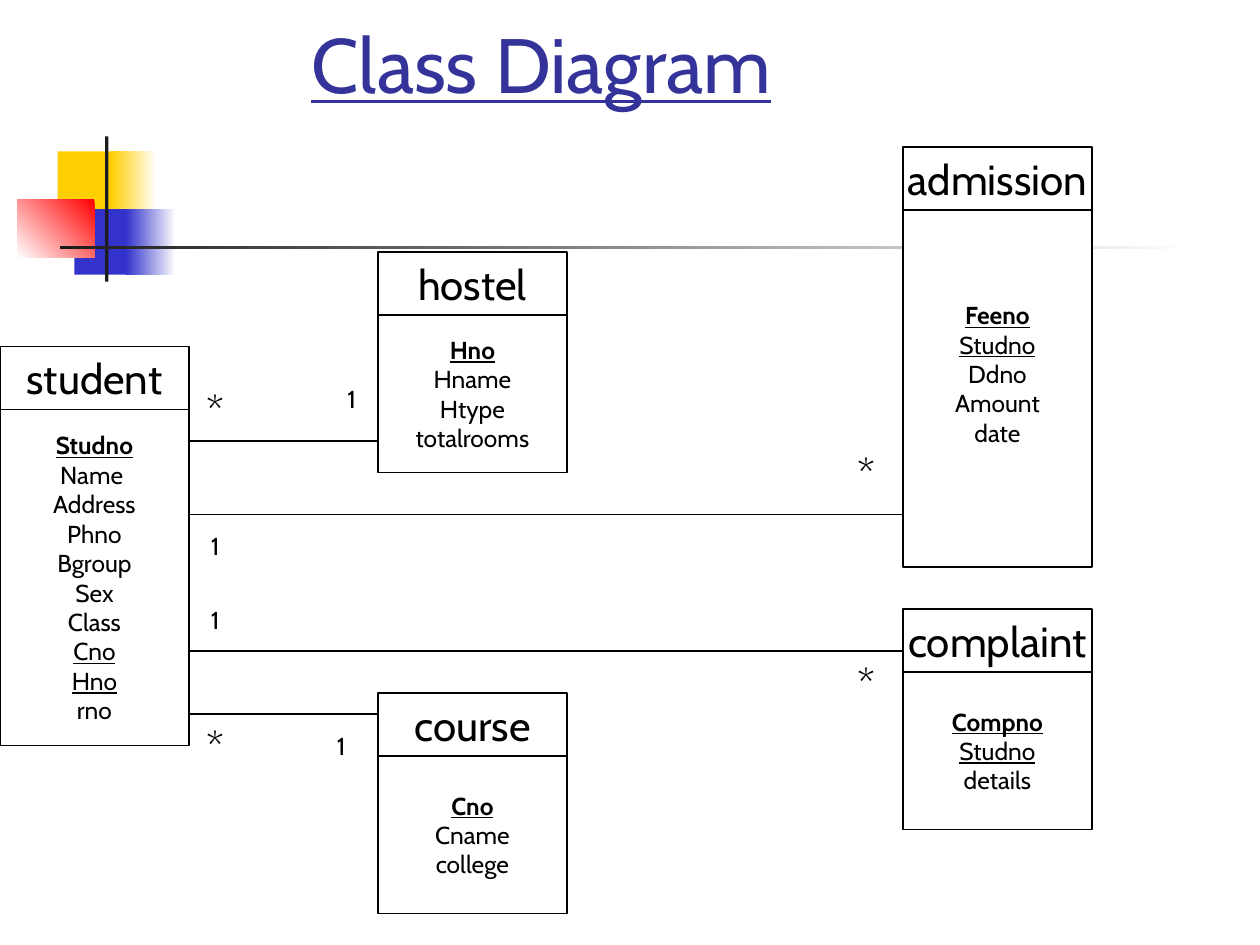
import lxml.etree
import pptx
import pptx.dml.color
import pptx.enum.shapes
import pptx.enum.text
import pptx.oxml.ns
import pptx.util

Pt = pptx.util.Pt
FONT = "Cabin"
COLORS = {
    "title": "333399", "ink": "000000", "paper": "FFFFFF", "yellow": "FFCF01",
    "blue": "3333CC", "red": "FF0000", "bar": "1C1C1C",
}
CLASS_WIDTH, HEADER_HEIGHT = 108, 36
LINE_HEIGHT = 16.8

# Class name: left, top, body height, free lines below the fields, fields.
# Each field has a mark: P primary key, F foreign key, "" plain.
CLASSES = {
    "student": (0, 198, 192, 0, [
        ("Studno", "P"), ("Name ", ""), ("Address", ""), ("Phno", ""), ("Bgroup", ""),
        ("Sex", ""), ("Class", ""), ("Cno", "F"), ("Hno", "F"), ("rno", "")]),
    "hostel": (216, 144, 90, 0, [
        ("Hno", "P"), ("Hname", ""), ("Htype", ""), ("totalrooms", "")]),
    "complaint": (516, 348, 90, 0, [
        ("Compno", "P"), ("Studno", "F"), ("details", "")]),
    "course": (216, 396, 90, 0, [
        ("Cno", "P"), ("Cname", ""), ("college", "")]),
    "admission": (516, 84, 204, 1, [
        ("Feeno", "P"), ("Studno", "F"), ("Ddno", ""), ("Amount", ""), ("date", "")]),
}
KEY_FORMATS = {
    "P": {"bold": True, "underline": True},
    "F": {"bold": False, "underline": True},
    "": {"bold": False, "underline": False},
}
# Related class and the height of its line from student
ASSOCIATIONS = [("hostel", 252), ("course", 408), ("admission", 294), ("complaint", 372)]
# Symbol, left, top
MULTIPLICITIES = [
    ("*", 486, 378), ("*", 486, 258), ("*", 114, 414), ("*", 114, 222),
    ("1", 114, 300), ("1", 114, 342), ("1", 186, 414), ("1", 192, 216),
]
# Left, top, width, height, gradient start, gradient end, angle
ORNAMENTS = [
    (33, 86.5, 34.5, 37.5, "yellow", None, 0),
    (63.5, 86.5, 26, 37.5, "paper", "yellow", 180),
    (42.5, 119.5, 33, 37.5, "blue", None, 0),
    (72, 119.5, 28.5, 37.5, "paper", "blue", 180),
    (10, 114, 44, 33, "red", "paper", 225),
    (60, 78, 2, 83, "bar", None, 0),
    (34.5, 140.5, 648, 2, "paper", "bar", 180),
]


def rgb(name):
    return pptx.dml.color.RGBColor.from_string(COLORS[name])


def apply(target, formats):
    for attribute, value in formats.items():
        setattr(target, attribute, value)


def add_rectangle(slide, left, top, width, height):
    rectangle = slide.shapes.add_shape(
        pptx.enum.shapes.MSO_SHAPE.RECTANGLE, Pt(left), Pt(top), Pt(width), Pt(height))
    rectangle.shadow.inherit = False
    return rectangle


def add_ornament(slide, left, top, width, height, start, end, angle):
    ornament = add_rectangle(slide, left, top, width, height)
    ornament.line.fill.background()
    if end is None:
        ornament.fill.solid()
        ornament.fill.fore_color.rgb = rgb(start)
        return
    ornament.fill.gradient()
    ornament.fill.gradient_angle = angle
    for stop, color in zip(ornament.fill.gradient_stops, (start, end)):
        stop.color.rgb = rgb(color)


def add_box(slide, left, top, width, height, lines, size, outline, free_lines=0):
    """Draw a white box with centred lines of (text, key mark)."""
    box = add_rectangle(slide, left, top, width, height)
    box.fill.solid()
    box.fill.fore_color.rgb = rgb("paper")
    box.line.color.rgb = rgb(outline)
    box.line.width = Pt(0.75)
    frame = box.text_frame
    apply(frame, {
        "word_wrap": False,
        "vertical_anchor": pptx.enum.text.MSO_ANCHOR.MIDDLE,
        "margin_bottom": Pt(3.6 + free_lines * LINE_HEIGHT),
    })
    for number, (text, mark) in enumerate(lines):
        paragraph = frame.add_paragraph() if number else frame.paragraphs[0]
        paragraph.alignment = pptx.enum.text.PP_ALIGN.CENTER
        run = paragraph.add_run()
        run.text = text
        apply(run.font, {"name": FONT, "size": Pt(size), **KEY_FORMATS[mark]})
        run.font.color.rgb = rgb("ink")


def add_class(slide, name, left, top, body_height, free_lines, fields):
    add_box(slide, left, top + HEADER_HEIGHT, CLASS_WIDTH, body_height,
            fields, 14, "ink", free_lines)
    add_box(slide, left, top, CLASS_WIDTH, HEADER_HEIGHT, [(name, "")], 24, "ink")


def add_association(slide, start, end, height):
    association = slide.shapes.add_connector(
        pptx.enum.shapes.MSO_CONNECTOR.STRAIGHT, Pt(start), Pt(height), Pt(end), Pt(height))
    association.line.color.rgb = rgb("ink")
    association.line.width = Pt(0.75)
    lxml.etree.SubElement(association._element.spPr, pptx.oxml.ns.qn("a:effectLst"))


def set_title(slide, text):
    title = slide.shapes.title
    apply(title, {"left": Pt(102), "top": Pt(18), "width": Pt(468), "height": Pt(48)})
    apply(title.text_frame, {
        "auto_size": pptx.enum.text.MSO_AUTO_SIZE.NONE,
        "vertical_anchor": pptx.enum.text.MSO_ANCHOR.BOTTOM,
        "margin_left": Pt(76),
    })
    heading = title.text_frame.paragraphs[0]
    heading.alignment = pptx.enum.text.PP_ALIGN.LEFT
    run = heading.add_run()
    run.text = text
    apply(run.font, {"name": FONT, "size": Pt(44), "underline": True})
    run.font.color.rgb = rgb("title")


def main():
    deck = pptx.Presentation()
    apply(deck, {"slide_width": Pt(720), "slide_height": Pt(540)})
    slide = deck.slides.add_slide(deck.slide_layouts[5])

    # Corner ornament and title
    for ornament in ORNAMENTS:
        add_ornament(slide, *ornament)
    set_title(slide, "Class Diagram")

    # Classes
    for name, details in CLASSES.items():
        add_class(slide, name, *details)

    # Associations from student, with their multiplicities
    student_right = CLASSES["student"][0] + CLASS_WIDTH
    for related, height in ASSOCIATIONS:
        add_association(slide, student_right, CLASSES[related][0], height)
    for symbol, left, top in MULTIPLICITIES:
        size = 24 if symbol == "*" else 14
        add_box(slide, left, top, 18, 24, [(symbol, "")], size, "paper")

    deck.save("out.pptx")


if __name__ == "__main__":
    main()
